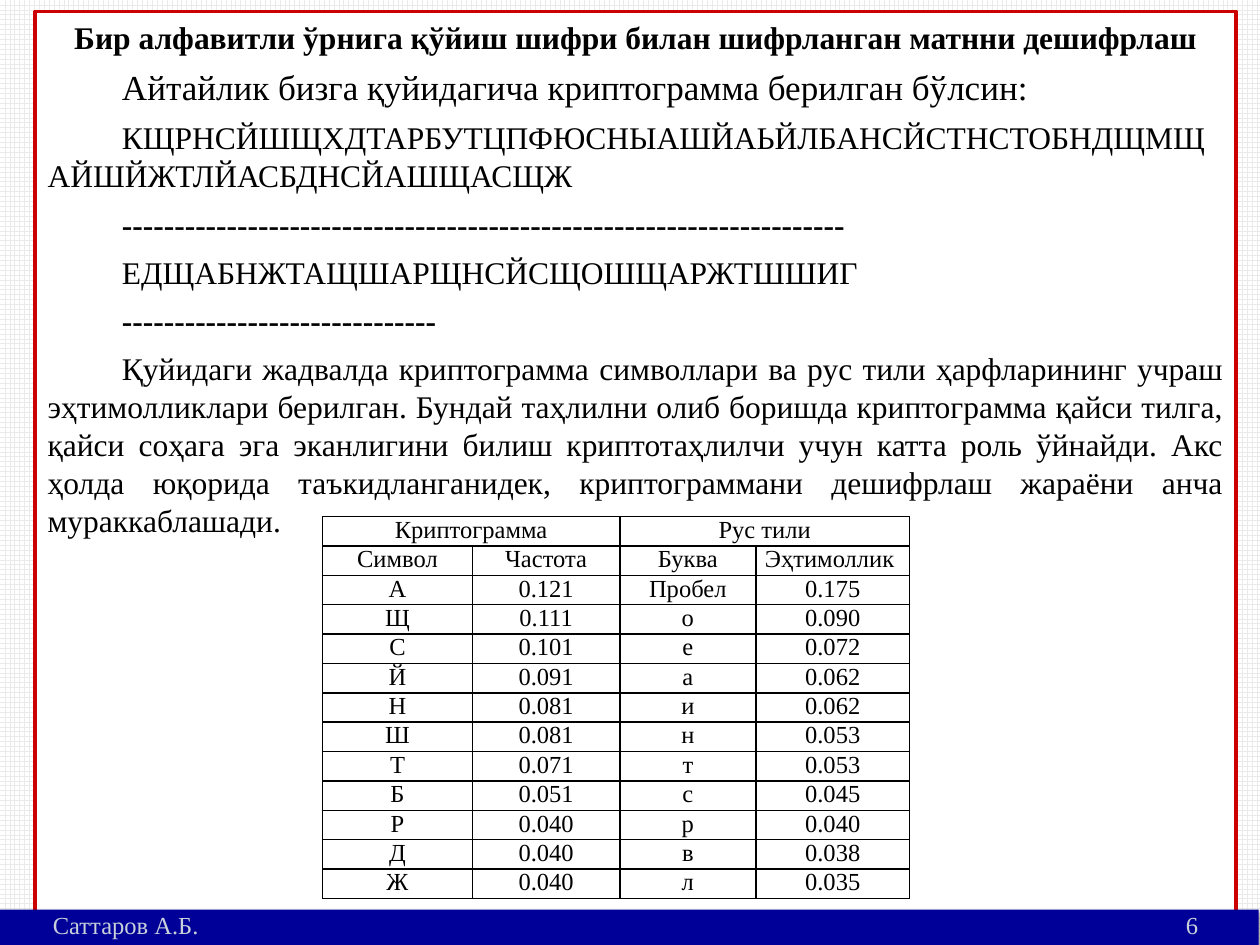
"""Build the slide on breaking a simple substitution cipher."""
import pptx
import pptx.util
import pptx.dml.color
import pptx.enum.dml
import pptx.enum.shapes
import pptx.enum.text
import pptx.oxml
import pptx.oxml.ns
from lxml import etree

Inches, Pt = pptx.util.Inches, pptx.util.Pt
Color = pptx.dml.color.RGBColor
Align = pptx.enum.text.PP_ALIGN
Anchor = pptx.enum.text.MSO_ANCHOR
qn = pptx.oxml.ns.qn

FONT = "Times New Roman"
BLACK = Color(0x00, 0x00, 0x00)
WHITE = Color(0xFF, 0xFF, 0xFF)
GRID = Color(0xEA, 0xEA, 0xEA)
RED = Color(0xCC, 0x00, 0x00)
NAVY = Color(0x00, 0x00, 0x99)
PALE = Color(0xC8, 0xD1, 0xDA)

TITLE = "Бир алфавитли ўрнига қўйиш шифри билан шифрланган матнни дешифрлаш"
BODY = [
    (TITLE, 18, True, Align.CENTER),
    ("Айтайлик бизга қуйидагича криптограмма берилган бўлсин:", 20, False, Align.LEFT),
    ("КЩРНСЙШЩХДТАРБУТЦПФЮСНЫАШЙАЬЙЛБАНСЙСТНСТОБНДЩМЩАЙШЙЖТЛЙАСБДНСЙАШЩАСЩЖ",
     18, False, Align.LEFT),
    ("-" * 69, 18, True, Align.LEFT),
    ("ЕДЩАБНЖТАЩШАРЩНСЙСЩОШЩАРЖТШШИГ", 18, False, Align.LEFT),
    ("-" * 30, 18, True, Align.LEFT),
    ("Қуйидаги жадвалда криптограмма символлари ва рус тили ҳарфларининг учраш "
     "эҳтимолликлари берилган. Бундай таҳлилни олиб боришда криптограмма қайси тилга, "
     "қайси соҳага эга эканлигини билиш криптотаҳлилчи учун катта роль ўйнайди. Акс "
     "ҳолда юқорида таъкидланганидек, криптограммани дешифрлаш жараёни анча "
     "мураккаблашади.", 18, False, Align.JUSTIFY),
]
FOOT = "Саттаров А.Б.\t6"
WIDTHS = [1.19, 1.17, 1.08, 1.22]
ROWS = [
    ("Криптограмма", None, "Рус тили", None),
    ("Символ", "Частота", "Буква", "Эҳтимоллик "),
    ("А", "0.121", "Пробел", "0.175"),
    ("Щ", "0.111", "о", "0.090"),
    ("С", "0.101", "е", "0.072"),
    ("Й", "0.091", "а", "0.062"),
    ("Н", "0.081", "и", "0.062"),
    ("Ш", "0.081", "н", "0.053"),
    ("Т", "0.071", "т", "0.053"),
    ("Б", "0.051", "с", "0.045"),
    ("Р", "0.040", "р", "0.040"),
    ("Д", "0.040", "в", "0.038"),
    ("Ж", "0.040", "л", "0.035"),
]


def add_run(para, text, size, color, bold=False):
    run = para.add_run()
    run.text = text
    font = run.font
    font.name, font.size, font.bold = FONT, Pt(size), bold
    font.color.rgb = color


def add_box(slide, place, fill, anchor):
    kind = pptx.enum.shapes.MSO_SHAPE.RECTANGLE
    box = slide.shapes.add_shape(kind, *map(Inches, place))
    box.shadow.inherit = False
    box.fill.solid()
    box.fill.fore_color.rgb = fill
    box.line.fill.background()
    box.text_frame.word_wrap = True
    box.text_frame.vertical_anchor = anchor
    return box


def add_body(slide):
    box = add_box(slide, (0.28, 0.09, 9.53, 7.22), WHITE, Anchor.TOP)
    box.line.color.rgb = RED
    box.line.width = Pt(2)
    frame = box.text_frame
    for num, (text, size, bold, align) in enumerate(BODY):
        para = frame.add_paragraph() if num else frame.paragraphs[0]
        para.alignment = align
        para.space_after = Pt(6)
        if num:
            props = para._p.get_or_add_pPr()
            props.set("marL", "0")
            props.set("indent", str(Inches(0.59)))
        add_run(para, text, size, BLACK, bold)


def add_shadow(box):
    effects = box._element.spPr.find(qn("a:effectLst"))
    outer = etree.SubElement(effects, qn("a:outerShdw"), blurRad=str(Pt(3.1)),
                             dist=str(Pt(1.8)), dir="5400000", rotWithShape="0")
    tint = etree.SubElement(outer, qn("a:srgbClr"), val=str(BLACK))
    etree.SubElement(tint, qn("a:alpha"), val="35000")


def add_foot(slide):
    box = add_box(slide, (-0.01, 7.22, 10, 0.28), NAVY, Anchor.MIDDLE)
    add_shadow(box)
    frame = box.text_frame
    frame.margin_left, frame.margin_right = Inches(0.43), Inches(0.1)
    frame.margin_top, frame.margin_bottom = 0, Inches(0.04)
    para = frame.paragraphs[0]
    para.alignment = Align.LEFT
    tabs = etree.SubElement(para._p.get_or_add_pPr(), qn("a:tabLst"))
    etree.SubElement(tabs, qn("a:tab"), pos=str(Inches(9.09)), algn="r")
    add_run(para, FOOT, 14, PALE)


def add_edges(cell):
    props = cell._tc.get_or_add_tcPr()
    for spot, side in enumerate(("lnL", "lnR", "lnT", "lnB")):
        line = etree.Element(qn("a:" + side), w=str(Pt(1)))
        fill = etree.SubElement(line, qn("a:solidFill"))
        etree.SubElement(fill, qn("a:srgbClr"), val=str(BLACK))
        props.insert(spot, line)


def add_grid(slide):
    place = map(Inches, (2.56, 4.1, sum(WIDTHS), 3.03))
    table = slide.shapes.add_table(len(ROWS), len(WIDTHS), *place).table
    for col, width in zip(table.columns, WIDTHS):
        col.width = Inches(width)
    for left in (0, 2):
        table.cell(0, left).merge(table.cell(0, left + 1))
    for top, row in enumerate(ROWS):
        for left, text in enumerate(row):
            cell = table.cell(top, left)
            cell.margin_left = cell.margin_right = Inches(0.05)
            cell.margin_top = cell.margin_bottom = 0
            cell.fill.background()
            add_edges(cell)
            if text:
                para = cell.text_frame.paragraphs[0]
                para.alignment = Align.CENTER
                add_run(para, text, 14, BLACK)


def main():
    deck = pptx.Presentation()
    deck.slide_width, deck.slide_height = Inches(10), Inches(7.5)
    slide = deck.slides.add_slide(deck.slide_layouts[6])
    back = slide.background.fill
    back.patterned()
    back.pattern = pptx.enum.dml.MSO_PATTERN.LARGE_GRID
    back.fore_color.rgb, back.back_color.rgb = GRID, WHITE
    add_body(slide)
    add_foot(slide)
    add_grid(slide)
    deck.save("out.pptx")


if __name__ == "__main__":
    main()
